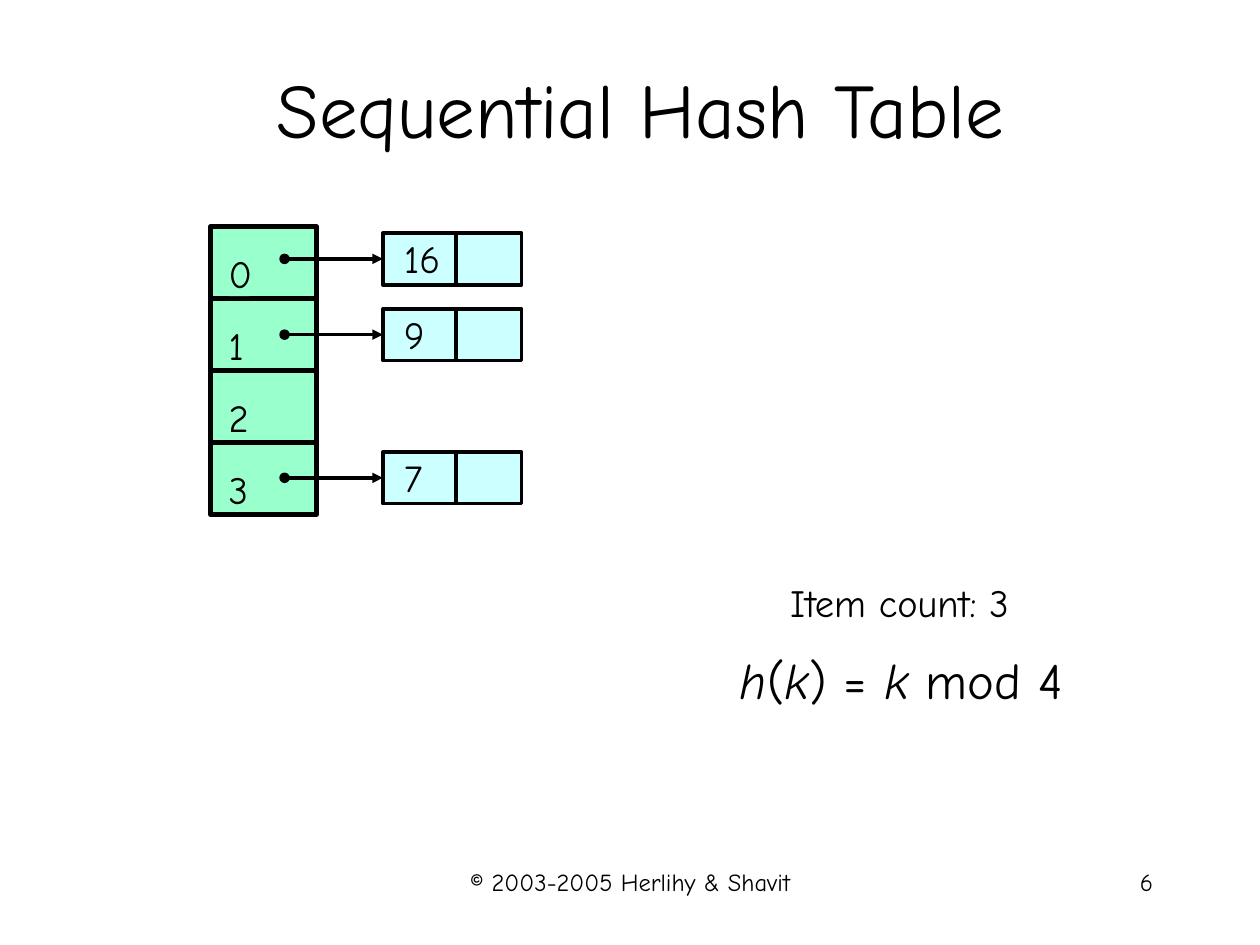
from pptx import Presentation
from pptx.dml.color import RGBColor
from pptx.enum.shapes import MSO_CONNECTOR as Line, MSO_SHAPE as Kind
from pptx.enum.text import MSO_ANCHOR as Anchor, MSO_AUTO_SIZE as Fit, PP_ALIGN as Align
from pptx.oxml.ns import qn
from pptx.util import Pt
from lxml.etree import SubElement

FONT = "Comic Neue"
BLACK, GREEN, CYAN = "000000", "99FFCC", "CCFFFF"
INSET = (6.5, 3.6)


def hue(code):
    """Return the colour of a hex string."""
    return RGBColor.from_string(code)


def write(shape, *runs, size=22, align=Align.LEFT, anchor=Anchor.TOP,
          inset=INSET, wrap=False, space=None):
    """Fill a shape with one paragraph; a run is a (text, italic) pair or a string."""
    frame = shape.text_frame
    frame.auto_size = Fit.NONE
    frame.word_wrap = wrap
    frame.vertical_anchor = anchor
    frame.margin_left = frame.margin_right = Pt(inset[0])
    frame.margin_top = frame.margin_bottom = Pt(inset[1])
    para = frame.paragraphs[0]
    para.alignment = align
    para.line_spacing = space
    for item in runs:
        text, slant = (item, False) if isinstance(item, str) else item
        run = para.add_run()
        run.text = text
        font = run.font
        font.name, font.size, font.italic = FONT, Pt(size), slant
        font.color.rgb = hue(BLACK)


def note(slide, box, *runs, **style):
    """Add a text box with formatted text."""
    write(slide.shapes.add_textbox(*map(Pt, box)), *runs, **style)


def block(slide, box, fill, width=0, kind=Kind.ROUNDED_RECTANGLE):
    """Add a filled box, outlined when a line width is given."""
    shape = slide.shapes.add_shape(kind, *map(Pt, box))
    shape.shadow.inherit = False
    shape.fill.solid()
    shape.fill.fore_color.rgb = hue(fill)
    if kind == Kind.ROUNDED_RECTANGLE:
        shape.adjustments[0] = 0
    if width:
        shape.line.color.rgb = hue(BLACK)
        shape.line.width = Pt(width)
    else:
        shape.line.fill.background()
    return shape


def stroke(slide, *ends):
    """Add a plain black line from x, y to x, y."""
    line = slide.shapes.add_connector(Line.STRAIGHT, *map(Pt, ends))
    line.line.color.rgb = hue(BLACK)
    line.line.width = Pt(2)
    SubElement(line._element.spPr, qn("a:effectLst"))
    return line


def link(slide, x, y, node):
    """Draw a dotted-tail arrow from x, y to the left side of a node."""
    line = stroke(slide, x, y, x, y)
    line.end_connect(node, 1)
    edge = line.line._get_or_add_ln()
    for tag, mark in (("a:headEnd", "oval"), ("a:tailEnd", "triangle")):
        SubElement(edge, qn(tag), type=mark)


def entry(slide, box, key):
    """Draw a list node with its key and an empty next field."""
    left, top, wide, high = box
    node = block(slide, box, CYAN, 2)
    split = left + 41.8
    stroke(slide, split, top + 0.5, split, top + high - 0.5)
    note(slide, (left + 5.7, top - 2.2, 17 * len(key) + 7, 33.1), key)
    return node


def table(slide, box, rows, nodes):
    """Draw the bucket column and the node that hangs from each used bucket."""
    left, top, wide, high = box
    step = high / rows
    for row in range(rows):
        block(slide, (left, top + row * step, wide, step), GREEN, 2.83)
    for row in range(rows):
        spot = (left + 10.4, top + row * step + 9.4, 12, 30.2)
        label = block(slide, spot, GREEN, kind=Kind.RECTANGLE)
        write(label, str(row), inset=(0, 0), space=1.15)
    for row, (key, drop) in nodes.items():
        node = entry(slide, (left + 98.5, top + drop, 79.2, 29.5), key)
        link(slide, left + 42.3, top + drop + 14.75, node)


def head(slide, box, text):
    """Move the title placeholder into its box and fill it."""
    title = slide.shapes.title
    title.left, title.top, title.width, title.height = map(Pt, box)
    write(title, text, size=44, align=Align.CENTER, anchor=Anchor.MIDDLE,
          inset=(0, 0), wrap=True)


def facts(slide, box):
    """Write the item count above the hash function."""
    left, top, wide, high = box
    note(slide, (left + 28.8, top, 139, 33.1), "Item count: 3")
    note(slide, (left, top + high - 41, wide, 41), ("h", True), "(", ("k", True),
         ") = ", ("k", True), " mod 4", size=29)


def foot(slide, box):
    """Write the credit line and the slide number."""
    left, top, wide, high = box
    style = dict(size=14, inset=(7.2, 3.6), wrap=True)
    note(slide, (left, top, 228, high), "© 2003-2005 Herlihy & Shavit",
         align=Align.CENTER, **style)
    note(slide, (left + wide - 150, top, 150, high), "6", align=Align.RIGHT, **style)


def main():
    """Build and save the slide."""
    deck = Presentation()
    deck.slide_width, deck.slide_height = Pt(720), Pt(540)
    slide = deck.slides.add_slide(deck.slide_layouts[5])
    head(slide, (60, 16.5, 612, 90), "Sequential Hash Table")
    table(slide, (120.3, 129.6, 60.5, 164.4), 4,
          {0: ("16", 3.6), 1: ("9", 46.9), 3: ("7", 128.7)})
    facts(slide, (416.2, 327.6, 198, 80.6))
    foot(slide, (246.2, 492, 419.8, 36))
    deck.save("out.pptx")


if __name__ == "__main__":
    main()
